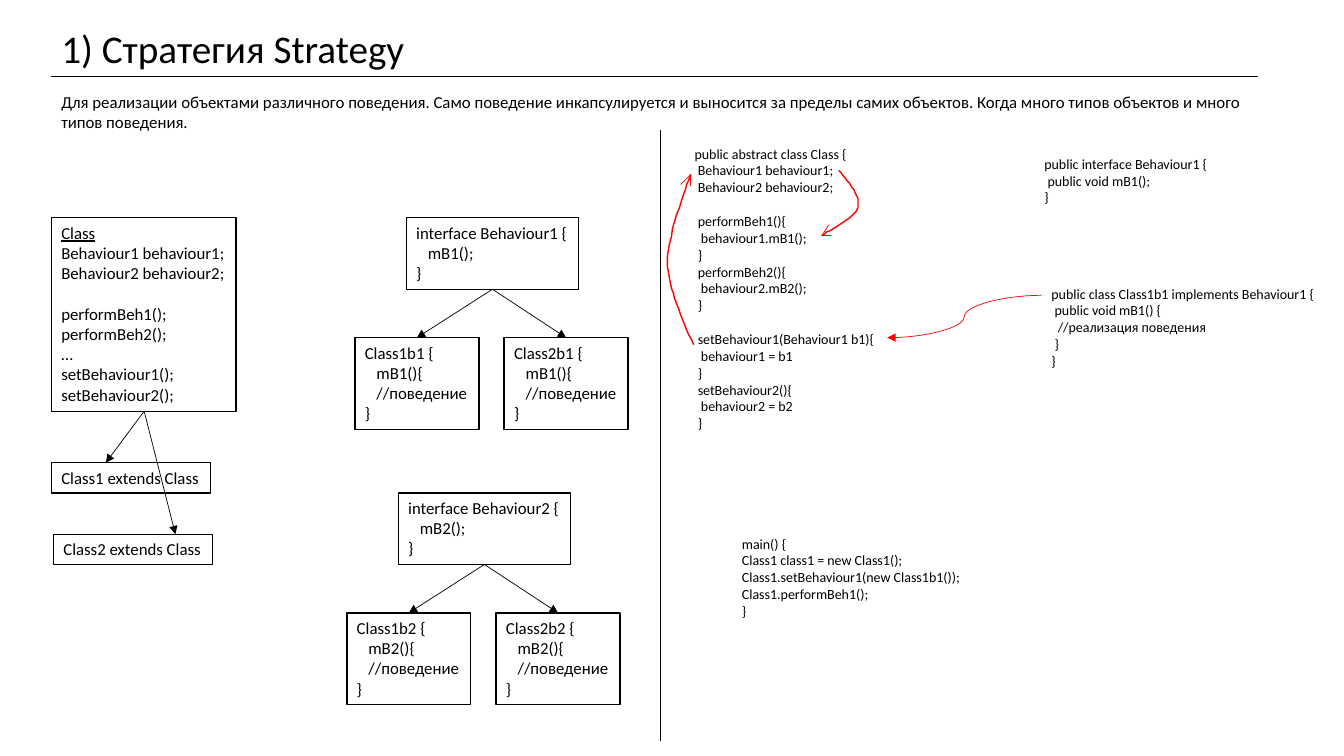
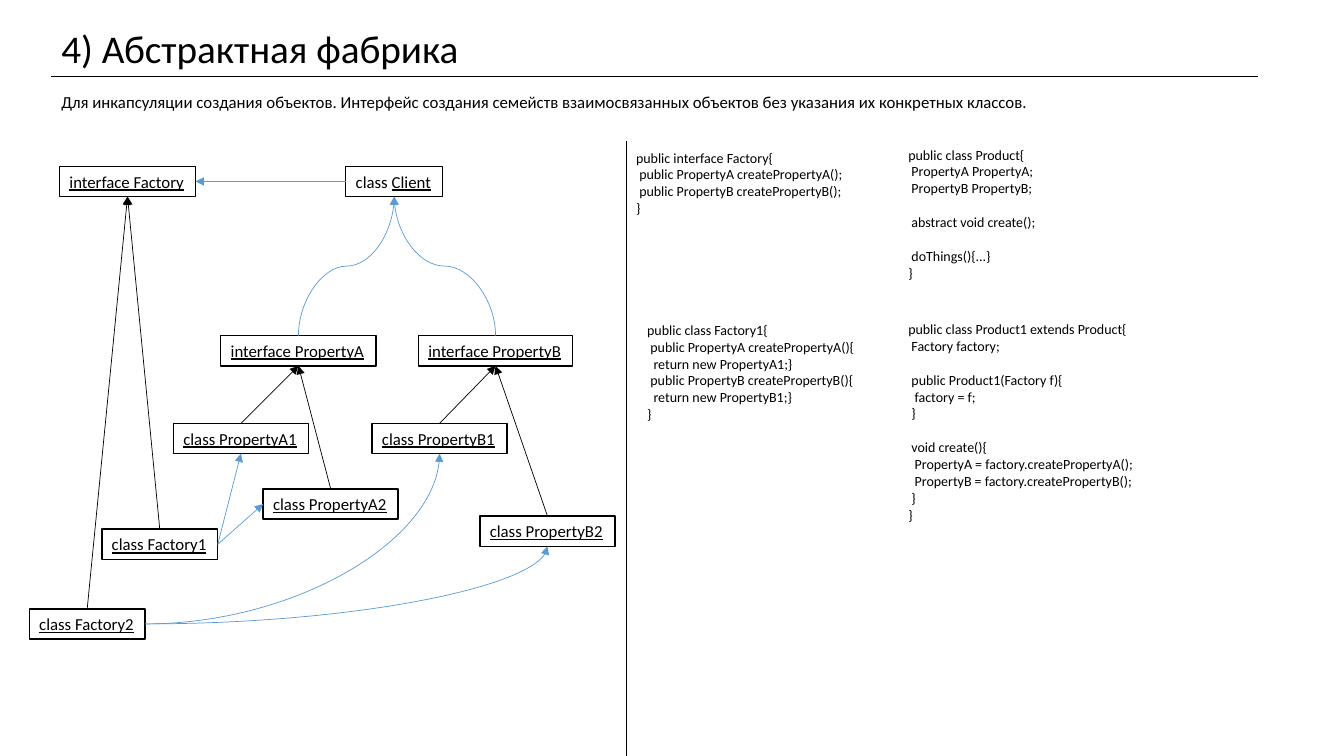
from dataclasses import dataclass

from pptx import Presentation
from pptx import util as u
from pptx.dml.color import RGBColor
from pptx.enum import shapes, text
from pptx.oxml.ns import qn
from pptx.oxml.xmlchemy import OxmlElement

PX = 9144  # EMU in one px, 100 px to the inch
TOP, LEFT, BOTTOM, RIGHT = range(4)  # connection sites of a rectangle


@dataclass(frozen=True)
class Theme:
    font: str = "Calibri"
    ink: str = "000000"
    paper: str = "FFFFFF"
    red: str = "FF0000"
    blue: str = "5B9BD5"
    title: int = 28
    body: int = 12
    listing: int = 10
    thin: float = 0.5
    thick: float = 1
    space_width: float = 0.23  # of the type size
    line_height: float = 1.22


class Sketch:
    """Holds the deck, the theme and the current slide."""

    def __init__(self, theme):
        self.theme = theme
        self.deck = Presentation()
        self.deck.slide_width = 1333 * PX
        self.deck.slide_height = 750 * PX
        self.page = None

    def new_page(self, title, summary, divider):
        self.page = self.deck.slides.add_slide(self.deck.slide_layouts[6])
        self.label(51, 19, 1207, 57, title, self.theme.title, wrap=True)
        self.line((51, 76), (1248, 76))
        self.label(51, 86, 1207, 30, summary, self.theme.body, wrap=True)
        self.line(*divider)

    # Text
    def fill_text(self, shape, content, size, wrap=False, underlined=""):
        """Leading spaces become indents, empty lines become space before."""
        frame = shape.text_frame
        frame.word_wrap = wrap
        frame.auto_size = text.MSO_AUTO_SIZE.SHAPE_TO_FIT_TEXT
        frame.vertical_anchor = text.MSO_ANCHOR.TOP
        para, gap = frame.paragraphs[0], 0
        for number, row in enumerate(content.split("\n")):
            if not row:
                gap += size * self.theme.line_height
                continue
            if number:
                para = frame.add_paragraph()
            para.alignment = text.PP_ALIGN.LEFT
            words = row.lstrip()
            depth = len(row) - len(words)
            if depth:
                indent = u.Pt(depth * size * self.theme.space_width)
                para._p.get_or_add_pPr().set("marL", str(int(indent)))
            if gap:
                para.space_before, gap = u.Pt(gap), 0
            parts = [(words, False)]
            if underlined and words.endswith(underlined):
                parts = [(words[:-len(underlined)], False), (underlined, True)]
            for words, mark in parts:
                if words:
                    span = para.add_run()
                    span.text = words
                    span.font.name = self.theme.font
                    span.font.size = u.Pt(size)
                    span.font.color.rgb = RGBColor.from_string(self.theme.ink)
                    span.font.underline = mark

    def label(self, x, y, w, h, content, size, wrap=False):
        box = self.page.shapes.add_textbox(x * PX, y * PX, w * PX, h * PX)
        self.fill_text(box, content, size, wrap)

    def listing(self, x, y, w, h, content):
        self.label(x, y, w, h, content, self.theme.listing)

    def box(self, x, y, w, h, content, underlined=""):
        box = self.page.shapes.add_shape(
            shapes.MSO_SHAPE.RECTANGLE, x * PX, y * PX, w * PX, h * PX)
        box.shadow.inherit = False
        box.fill.solid()
        box.fill.fore_color.rgb = RGBColor.from_string(self.theme.paper)
        self.stroke(box, self.theme.ink, self.theme.thick)
        self.fill_text(box, content, self.theme.body, underlined=underlined)
        return box

    # Lines
    def stroke(self, shape, color, width):
        shape.line.color.rgb = RGBColor.from_string(color)
        shape.line.width = u.Pt(width)

    def line(self, start, end, color=None, head=False, curved=False):
        kinds = shapes.MSO_CONNECTOR
        line = self.page.shapes.add_connector(
            kinds.CURVE if curved else kinds.STRAIGHT,
            *(value * PX for value in (*start, *end)))
        self.stroke(line, color or self.theme.ink, self.theme.thin)
        if head:
            tail = OxmlElement("a:tailEnd")
            tail.set("type", "triangle")
            line.get_or_add_ln().append(tail)
        line._element.spPr.append(OxmlElement("a:effectLst"))
        return line

    def link(self, source, out, target, into, color=None, curved=False):
        """Arrow glued to one connection site of each box."""
        line = self.line((0, 0), (0, 0), color, True, curved)
        line.begin_connect(source, out)
        line.end_connect(target, into)
        if curved and out == RIGHT:
            line._element.spPr.find(qn("a:prstGeom")).set("prst", "curvedConnector2")
        elif curved:
            self.turn_upward(line)

    def turn_upward(self, line):
        """Let an S curve leave its start upward instead of sideways."""
        x1, y1, x2, y2 = line.begin_x, line.begin_y, line.end_x, line.end_y
        rise, run = y1 - y2, abs(x2 - x1)
        line.left, line.top = (x1 + x2 - rise) // 2, (y1 + y2 - run) // 2
        line.width, line.height = rise, run
        frame = line._element.spPr.find(qn("a:xfrm"))
        for flip in ("flipH", "flipV"):
            frame.attrib.pop(flip, None)
        frame.set("rot", str(270 * 60000))
        if x2 < x1:
            frame.set("flipV", "1")

    def hand_arrow(self, start, curves, barbs):
        """Open outline of cubic curves, with two short lines as arrowhead."""
        steps, points = 16, []
        here = start
        for a, b, end in curves:
            for step in range(1, steps + 1):
                t = step / steps
                points.append(tuple(
                    (1 - t) ** 3 * p + 3 * t * (1 - t) ** 2 * q
                    + 3 * t * t * (1 - t) * r + t ** 3 * s
                    for p, q, r, s in zip(here, a, b, end)))
            here = end
        builder = self.page.shapes.build_freeform(*start, scale=PX)
        builder.add_line_segments(points, close=False)
        curve = builder.convert_to_shape()
        curve.shadow.inherit = False
        curve.fill.background()
        self.stroke(curve, self.theme.red, self.theme.thick)
        for barb in barbs:
            self.line(here, barb, self.theme.red)


def strategy(sketch):
    sketch.new_page(
        "1) Стратегия Strategy",
        "Для реализации объектами различного поведения. Само поведение "
        "инкапсулируется и выносится за пределы самих объектов. "
        "Когда много типов объектов и много типов поведения.",
        ((655, 129), (655, 735)))

    # Class and its heirs
    sketch.box(51, 216, 183, 192, """Class
Behaviour1 behaviour1;
Behaviour2 behaviour2;

performBeh1();
performBeh2();
…
setBehaviour1();
setBehaviour2();""", "Class")
    for number, x, y, tip in ((1, 51, 459, 105), (2, 53, 530, 174)):
        sketch.box(x, y, 158, 30, f"Class{number} extends Class")
        sketch.line((143, 408), (tip, y), head=True)

    # Behaviour interfaces and their implementations
    for number, x, y in ((1, 403, 216), (2, 395, 489)):
        parent = sketch.box(x, y, 171, 71,
                            f"interface Behaviour{number} {{\n   mB{number}();\n}}")
        for child in (1, 2):
            heir = sketch.box(
                x - 199 + 148 * child, y + 119, 123, 91,
                f"Class{child}b{number} {{\n   mB{number}(){{\n   //поведение\n}}")
            sketch.link(parent, BOTTOM, heir, TOP)

    # Code
    sketch.listing(679, 139, 201, 296, """public abstract class Class {
 Behaviour1 behaviour1;
 Behaviour2 behaviour2;

 performBeh1(){
  behaviour1.mB1();
 }
 performBeh2(){
  behaviour2.mB2();
 }

 setBehaviour1(Behaviour1 b1){
  behaviour1 = b1
 }
 setBehaviour2(){
  behaviour2 = b2
 }""")
    sketch.listing(1026, 149, 184, 61, """public interface Behaviour1 {
 public void mB1();
}""")
    sketch.listing(1033, 278, 284, 94, """public class Class1b1 implements Behaviour1 {
 public void mB1() {
  //реализация поведения
 }
}""")
    sketch.listing(726, 526, 239, 94, """main() {
Class1 class1 = new Class1();
Class1.setBehaviour1(new Class1b1());
Class1.performBeh1();
}""")

    # Red arrows between code parts
    sketch.line((1033, 293), (880, 335), sketch.theme.red, head=True, curved=True)
    sketch.hand_arrow((688, 342), [((676, 315), (663, 288), (662, 260)),
                                   ((662, 232), (685, 173), (685, 173))],
                      [(675, 183), (685, 185)])
    sketch.hand_arrow((832, 169), [((843, 182), (854, 195), (851, 206)),
                                   ((849, 216), (821, 229), (815, 234))],
                      [(822, 223), (824, 234)])


def abstract_factory(sketch):
    sketch.new_page(
        "4) Абстрактная фабрика",
        "Для инкапсуляции создания объектов. Интерфейс создания семейств "
        "взаимосвязанных объектов без указания их конкретных классов.",
        ((621, 140), (621, 750)))

    # Class diagram
    boxes = {}
    for kind, name, x, y, w in (
            ("interface", "Factory", 59, 165, 135),
            ("class", "Client", 343, 165, 96),
            ("interface", "PropertyA", 219, 333, 154),
            ("interface", "PropertyB", 415, 333, 153),
            ("class", "PropertyA1", 172, 420, 134),
            ("class", "PropertyA2", 261, 485, 134),
            ("class", "PropertyB1", 369, 420, 134),
            ("class", "PropertyB2", 476, 512, 134),
            ("class", "Factory1", 101, 525, 115),
            ("class", "Factory2", 29, 604, 115)):
        title = f"{kind} {name}"
        boxes[name] = sketch.box(x, y, w, 30, title,
                                 name if name == "Client" else title)

    # Inheritance
    for parent in ("Factory", "PropertyA", "PropertyB"):
        for number in (1, 2):
            sketch.link(boxes[f"{parent}{number}"], TOP, boxes[parent], BOTTOM)

    # Use and creation
    for source, out, target, into, curved in (
            ("PropertyB", TOP, "Client", BOTTOM, True),
            ("PropertyA", TOP, "Client", BOTTOM, True),
            ("Client", LEFT, "Factory", RIGHT, False),
            ("Factory1", RIGHT, "PropertyA1", BOTTOM, False),
            ("Factory1", RIGHT, "PropertyA2", LEFT, False),
            ("Factory2", RIGHT, "PropertyB1", BOTTOM, True),
            ("Factory2", RIGHT, "PropertyB2", BOTTOM, True)):
        sketch.link(boxes[source], out, boxes[target], into,
                    sketch.theme.blue, curved)

    # Code
    sketch.listing(621, 143, 228, 77, """public interface Factory{
 public PropertyA createPropertyA();
 public PropertyB createPropertyB();
}""")
    sketch.listing(632, 314, 229, 111, """public class Factory1{
 public PropertyA createPropertyA(){
  return new PropertyA1;}
 public PropertyB createPropertyB(){
  return new PropertyB1;}
}""")
    sketch.listing(891, 140, 149, 145, """public class Product{
 PropertyA PropertyA;
 PropertyB PropertyB;

 abstract void create();

 doThings(){...}
}""")
    sketch.listing(891, 313, 248, 212, """public class Product1 extends Product{
 Factory factory;

 public Product1(Factory f){
  factory = f;
 }

 void create(){
  PropertyA = factory.createPropertyA();
  PropertyB = factory.createPropertyB();
 }
}""")


def main():
    sketch = Sketch(Theme())
    strategy(sketch)
    abstract_factory(sketch)
    sketch.deck.save("out.pptx")


if __name__ == "__main__":
    main()
